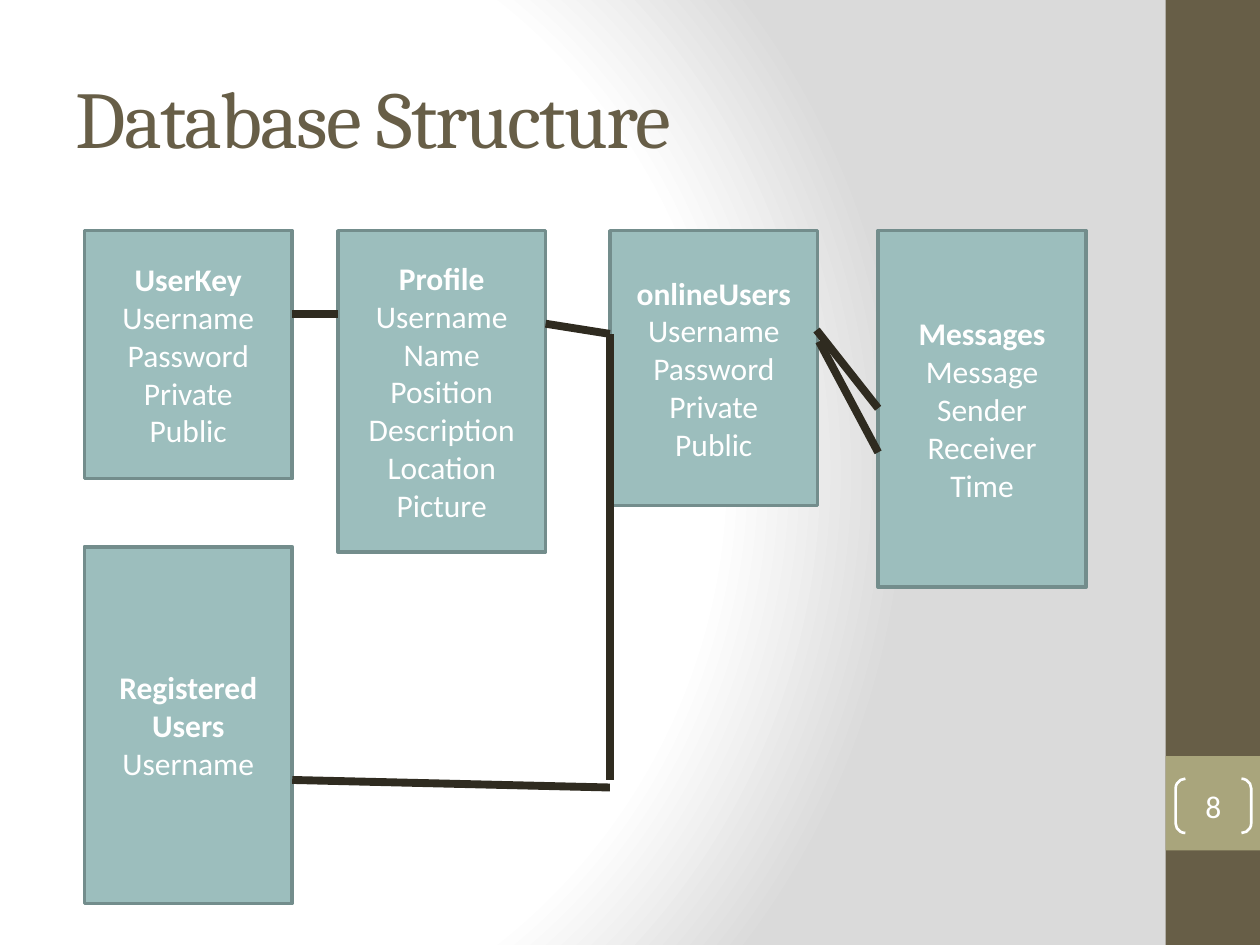
from lxml.etree import SubElement
from pptx import Presentation
from pptx.dml.color import RGBColor
from pptx.enum.shapes import MSO_CONNECTOR, MSO_SHAPE
from pptx.enum.text import MSO_ANCHOR, MSO_AUTO_SIZE, PP_ALIGN as ALIGN
from pptx.oxml.ns import qn
from pptx.util import Pt

BROWN, OLIVE, WHITE = "675E47", "A9A57C", "FFFFFF"
TEAL, TEAL_EDGE, LINK = "9CBEBD", "738D8C", "2F2B20"
TITLE_FONT, BODY_FONT = "Cambria", "Calibri"
TABLE_WIDTH = 118.8
ROW_TOP = 131.8

# left, top, height, table name, fields
TABLES = [
    (193, ROW_TOP, 183.6, "Profile",
     ["Username", "Name", "Position", "Description", "Location", "Picture"]),
    (501.8, ROW_TOP, 203.8, "Messages", ["Message", "Sender", "Receiver", "Time"]),
    (48.2, ROW_TOP, 141.8, "UserKey", ["Username", "Password", "Private", "Public"]),
    (348.5, ROW_TOP, 157, "onlineUsers", ["Username", "Password", "Private", "Public"]),
    (48.2, 312.5, 203.8, "Registered Users", ["Username"]),
]

# from x, from y, to x, to y
LINKS = [
    (167, 179.3, 193, 179.3),
    (311.8, 185, 348.5, 190.8),
    (466.6, 188.6, 501.8, 233.3),
    (468, 195.1, 501.8, 258.5),
    (348.5, 445.7, 348.5, 190.8),
    (348.5, 450, 167, 445.7),
]


def color(hex_string):
    return RGBColor.from_string(hex_string)


def format_font(font, name, size, hex_string, bold=False):
    font.name, font.size, font.bold = name, Pt(size), bold
    font.color.rgb = color(hex_string)


def set_background(slide):
    """Radial gradient, which python-pptx cannot set by itself."""
    slide.background.fill.gradient()
    gradient = next(slide.element.iter(qn("a:gradFill")))
    for child in list(gradient):
        gradient.remove(child)
    stops = SubElement(gradient, qn("a:gsLst"))
    for position, hex_string in ((0, WHITE), (75, WHITE), (100, "DADADA")):
        stop = SubElement(stops, qn("a:gs"), pos=str(position * 1000))
        SubElement(stop, qn("a:srgbClr"), val=hex_string)
    circle = SubElement(gradient, qn("a:path"), path="circle")
    SubElement(circle, qn("a:fillToRect"), l="20000", t="50000", r="100000", b="50000")


def add_box(slide, preset, left, top, width, height, fill=None, line=None, line_width=2):
    shape = slide.shapes.add_shape(preset, Pt(left), Pt(top), Pt(width), Pt(height))
    shape.shadow.inherit = False
    if fill:
        shape.fill.solid()
        shape.fill.fore_color.rgb = color(fill)
    else:
        shape.fill.background()
    if line:
        shape.line.color.rgb = color(line)
        shape.line.width = Pt(line_width)
    else:
        shape.line.fill.background()
    return shape


def write_lines(shape, lines, bold_first=False):
    frame = shape.text_frame
    frame.word_wrap = True
    frame.vertical_anchor = MSO_ANCHOR.MIDDLE
    frame.text = "\n".join(lines)
    for index, paragraph in enumerate(frame.paragraphs):
        paragraph.alignment = ALIGN.CENTER
        format_font(paragraph.font, BODY_FONT, 18, WHITE, bold_first and index == 0)


def add_title(slide, text):
    title = slide.shapes.title
    title.left, title.top, title.width, title.height = Pt(36), Pt(21.6), Pt(600), Pt(90)
    frame = title.text_frame
    frame.text = text
    frame.auto_size = MSO_AUTO_SIZE.NONE
    frame.vertical_anchor = MSO_ANCHOR.MIDDLE
    paragraph = frame.paragraphs[0]
    paragraph.alignment = ALIGN.LEFT
    format_font(paragraph.font, TITLE_FONT, 46, BROWN)
    paragraph.runs[0].font.size = Pt(46)
    next(title.element.iter(qn("a:rPr"))).set("spc", "-100")


def add_side_band(slide, number):
    add_box(slide, MSO_SHAPE.RECTANGLE, 666, 0, 54, 540, BROWN)
    add_box(slide, MSO_SHAPE.RECTANGLE, 666, 432, 54, 54, OLIVE)
    bracket = add_box(slide, MSO_SHAPE.DOUBLE_BRACKET, 671.8, 445, 43.2, 31,
                      line=WHITE, line_width=1.5)
    bracket.adjustments[0] = 0.18
    write_lines(bracket, [number])
    frame = bracket.text_frame
    frame.margin_left = frame.margin_right = frame.margin_top = frame.margin_bottom = 0


def add_database_table(slide, left, top, height, name, fields):
    box = add_box(slide, MSO_SHAPE.RECTANGLE, left, top, TABLE_WIDTH, height,
                  TEAL, TEAL_EDGE)
    write_lines(box, [name, *fields], bold_first=True)


def add_link(slide, *ends):
    link = slide.shapes.add_connector(MSO_CONNECTOR.STRAIGHT, *map(Pt, ends))
    link.line.color.rgb = color(LINK)
    link.line.width = Pt(4.5)
    SubElement(link.element.spPr, qn("a:effectLst"))


def main():
    presentation = Presentation()
    presentation.slide_width, presentation.slide_height = Pt(720), Pt(540)
    slide = presentation.slides.add_slide(presentation.slide_layouts[5])
    set_background(slide)
    add_side_band(slide, "8")
    add_title(slide, "Database Structure")
    for table in TABLES:
        add_database_table(slide, *table)
    for link in LINKS:
        add_link(slide, *link)
    presentation.save("out.pptx")


if __name__ == "__main__":
    main()
